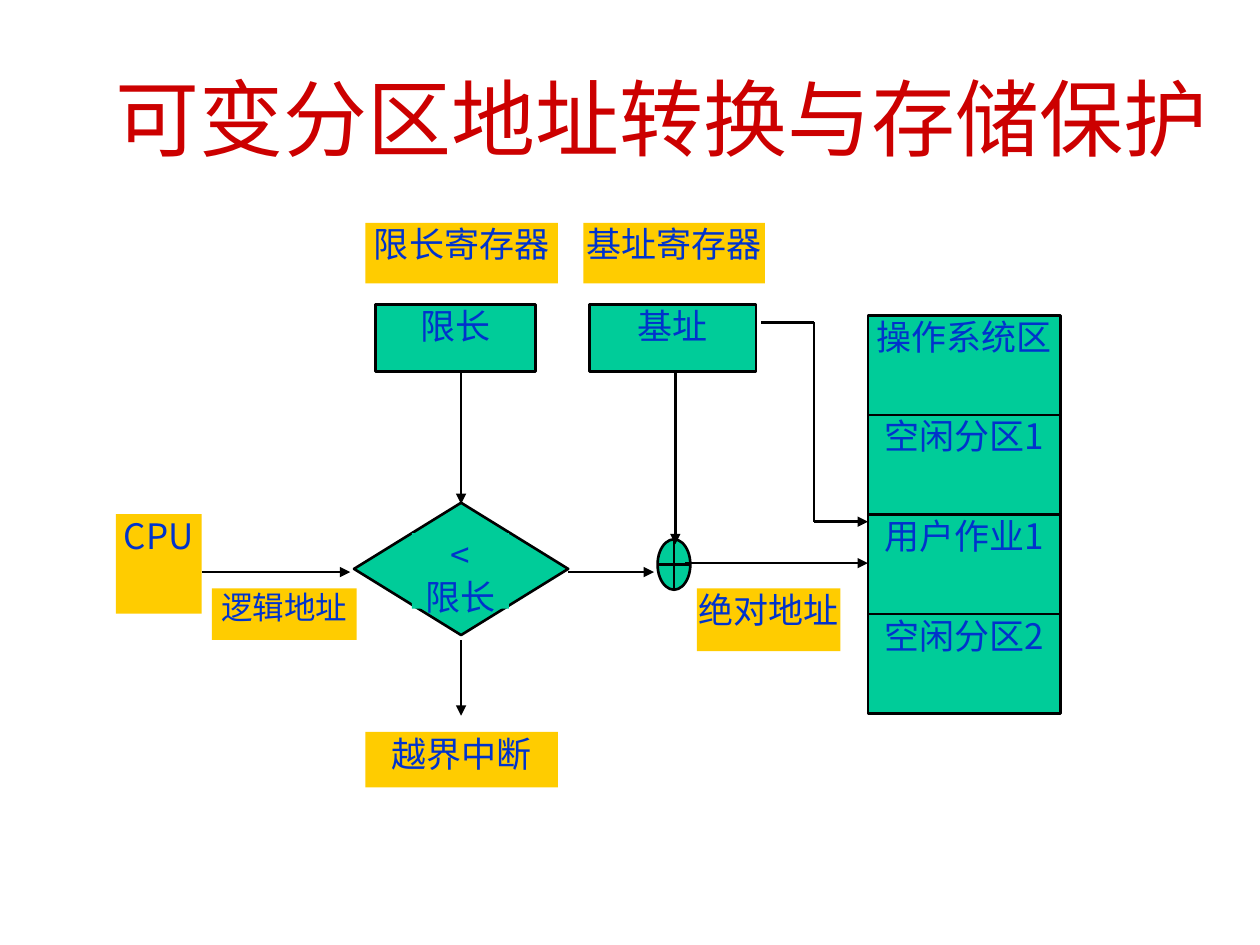
from lxml import etree
from pptx import Presentation
from pptx import util as u
from pptx.dml.color import RGBColor
from pptx.enum import shapes, text
from pptx.oxml import ns

Pt = u.Pt
FONT = "Noto Sans CJK JP"
GREEN, YELLOW, BLACK, BLUE, RED = "00CC99", "FFCC00", "000000", "0033CC", "CC0000"
KIND = shapes.MSO_SHAPE

TITLE = ("可变分区地址转换与存储保护", 30, 37, 696, 60)
LABELS = [
    ("限长寄存器", 208.8, 127.4, 110, 34.6, 20),
    ("基址寄存器", 333.4, 127.4, 103.7, 34.6, 20),
    ("CPU", 66.2, 293.8, 49, 56.9, 20),
    ("逻辑地址", 121, 336.2, 82.8, 29.5, 18),
    ("绝对地址", 398.2, 336.2, 82, 36, 20),
    ("越界中断", 208.8, 418.3, 110, 31.7, 20),
]
REGISTERS = [("限长", 214.6, 174.2, 91.5, 38.2), ("基址", 337, 174.2, 95, 38.2)]
PARTITIONS = ["操作系统区", "空闲分区1", "用户作业1", "空闲分区2"]
MEMORY_LEFT, MEMORY_TOP, MEMORY_WIDTH, PARTITION_HEIGHT = 496, 180.2, 110.2, 56.9
DECISION = (202.3, 287.3, 122.4, 75.6)
CONDITION = ("<\n限长", 235.4, 304.6, 55.4, 43.2)
ADDER = (375.8, 308.2, 18.7, 28.8)
PLAIN_LINES = [(434.9, 184.3, 465.1, 184.3), (465.1, 184.3, 465.1, 298.1)]
ARROWS = [
    (263.5, 213.1, 263.5, 288),
    (385.9, 213.1, 385.9, 311),
    (115.2, 326.9, 200.2, 326.9),
    (324.7, 326.9, 373.7, 326.9),
    (391.7, 321.8, 496, 321.8),
    (465.1, 298.1, 496, 298.1),
    (263.5, 365.8, 263.5, 409),
]


def color(value):
    return RGBColor.from_string(value)


def set_values(target, values):
    for name, value in values.items():
        setattr(target, name, value)


def write(shape, content, size, ink, anchor):
    frame = shape.text_frame
    set_values(frame, dict(word_wrap=True, vertical_anchor=anchor, margin_left=0,
                           margin_top=0, margin_right=0, margin_bottom=0))
    frame.text = content
    for paragraph in frame.paragraphs:
        paragraph.alignment = text.PP_ALIGN.CENTER
        for run in paragraph.runs:
            set_values(run.font, dict(name=FONT, size=Pt(size), bold=False))
            run.font.color.rgb = color(ink)
            east_asian = etree.SubElement(run.font._element, ns.qn("a:ea"))
            east_asian.set("typeface", FONT)


def add_block(slide, kind, box, fill, outlined, content="", size=20):
    shape = slide.shapes.add_shape(kind, *map(Pt, box))
    shape.shadow.inherit = False
    shape.fill.solid()
    shape.fill.fore_color.rgb = color(fill)
    if outlined:
        shape.line.color.rgb = color(BLACK)
        shape.line.width = Pt(1.5)
    else:
        shape.line.fill.background()
    if content:
        write(shape, content, size, BLUE, text.MSO_ANCHOR.TOP)


def add_line(slide, ends, arrow):
    line = slide.shapes.add_connector(shapes.MSO_CONNECTOR.STRAIGHT, *map(Pt, ends))
    line.line.color.rgb = color(BLACK)
    line.line.width = Pt(1.5)
    if arrow:
        etree.SubElement(line.line._get_or_add_ln(), ns.qn("a:tailEnd")).set("type", "triangle")
    etree.SubElement(line._element.spPr, ns.qn("a:effectLst"))


def main():
    presentation = Presentation()
    set_values(presentation, dict(slide_width=Pt(720), slide_height=Pt(540)))
    slide = presentation.slides.add_slide(presentation.slide_layouts[6])

    title, *title_box = TITLE
    write(slide.shapes.add_textbox(*map(Pt, title_box)), title, 48, RED, text.MSO_ANCHOR.MIDDLE)
    for label, *box, size in LABELS:
        add_block(slide, KIND.RECTANGLE, box, YELLOW, False, label, size)
    for name, *box in REGISTERS:
        add_block(slide, KIND.RECTANGLE, box, GREEN, True, name)
    for row, name in enumerate(PARTITIONS):
        box = (MEMORY_LEFT, MEMORY_TOP + row * PARTITION_HEIGHT, MEMORY_WIDTH, PARTITION_HEIGHT)
        add_block(slide, KIND.RECTANGLE, box, GREEN, True, name)
    add_block(slide, KIND.FLOWCHART_DECISION, DECISION, GREEN, True)
    condition, *condition_box = CONDITION
    add_block(slide, KIND.RECTANGLE, condition_box, GREEN, False, condition)
    add_block(slide, KIND.FLOWCHART_OR, ADDER, GREEN, True)
    for ends in PLAIN_LINES:
        add_line(slide, ends, False)
    for ends in ARROWS:
        add_line(slide, ends, True)

    presentation.save("out.pptx")


if __name__ == "__main__":
    main()
